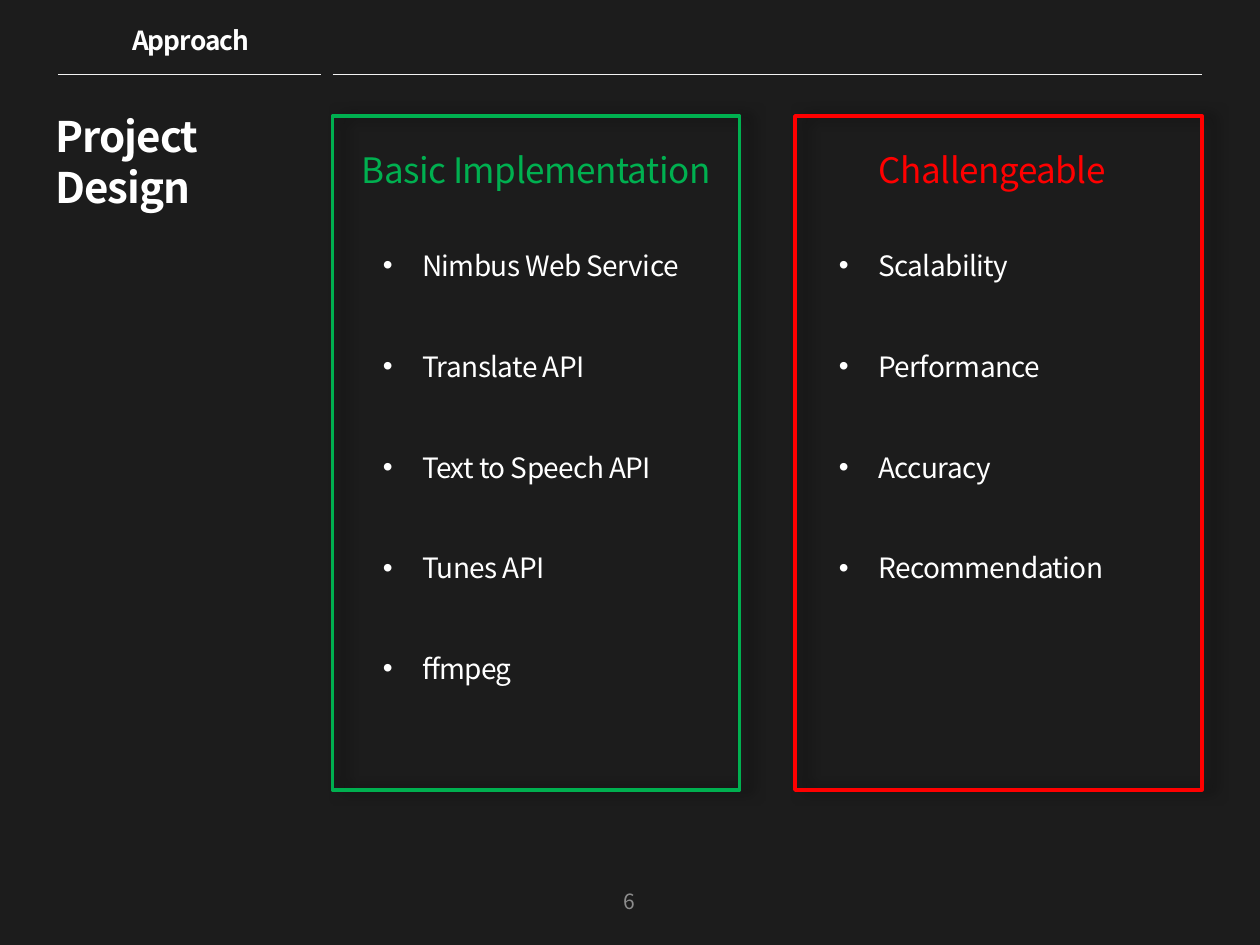
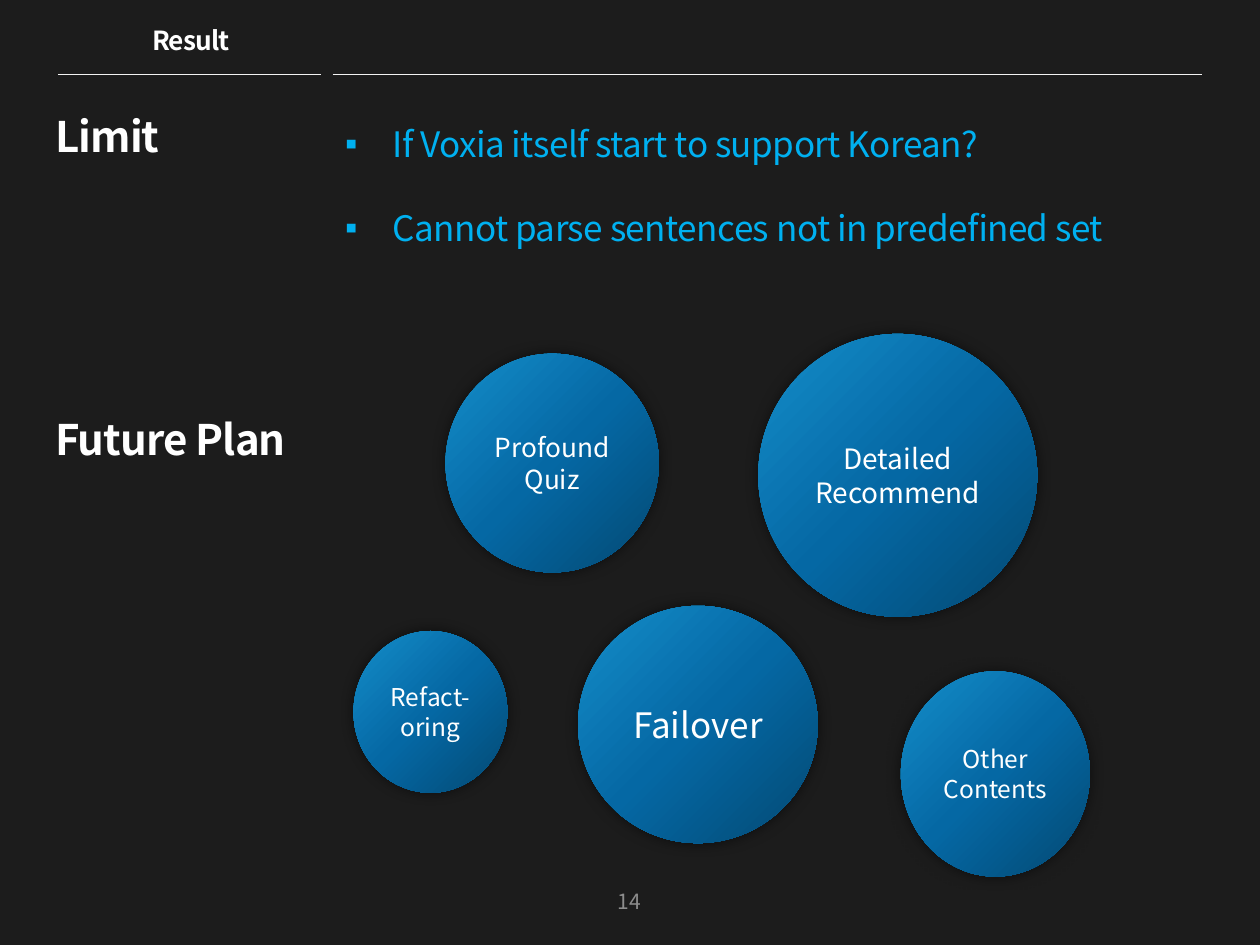
from lxml import etree
from pptx import Presentation
from pptx.dml.color import RGBColor
from pptx.enum import shapes, text
from pptx.oxml import parse_xml
from pptx.oxml.ns import nsdecls, qn
from pptx.util import Pt

FONT = "Noto Sans CJK KR"
HUES = {
    "back": "1C1C1C", "rule": "F2F2F2", "white": "FFFFFF", "page": "8C8C8C",
    "green": "00B050", "red": "FF0000", "sky": "00B0F0",
    "deep": "034973", "mid": "0568A4", "light": "148DCA",
}
LEFT, MAIN, RIGHT = 33.12, 190.08, 686.88   # side column, main column, right edge
TOP = 66.24                                 # top of the main column
TITLE = dict(size=24, bold=True, track=-50)
HEAD = dict(size=15, bold=True, track=-50, align="CENTER")


def rgb(hue):
    return RGBColor.from_string(HUES[hue])


def pts(*nums):
    return [Pt(n) for n in nums]


def write(frame, lines, size, hue="white", bold=False, track=0,
          align="LEFT", gap=0, lead=None, mark=None, hang=0):
    """Fill a frame, one paragraph a line, with gap points between them."""
    frame.word_wrap = True
    for i, line in enumerate(lines):
        para = frame.paragraphs[0] if i == 0 else frame.add_paragraph()
        look = {"alignment": getattr(text.PP_ALIGN, align), "line_spacing": lead,
                "space_after": Pt(gap if i < len(lines) - 1 else 0)}
        for name, value in look.items():
            setattr(para, name, value)
        if mark:
            props = para._p.get_or_add_pPr()
            props.set("marL", str(Pt(hang)))
            props.set("indent", str(-Pt(hang)))
            etree.SubElement(props, qn("a:buFont")).set("typeface", "Arial")
            etree.SubElement(props, qn("a:buChar")).set("char", mark)
        run = para.add_run()
        run.text = line
        for name, value in {"size": Pt(size), "bold": bold, "name": FONT}.items():
            setattr(run.font, name, value)
        run.font.color.rgb = rgb(hue)
        props = run._r.get_or_add_rPr()
        props.set("spc", str(track))
        etree.SubElement(props, qn("a:ea")).set("typeface", FONT)


def label(slide, box, lines, anchor="TOP", **look):
    frame = slide.shapes.add_textbox(*pts(*box)).text_frame
    frame.vertical_anchor = getattr(text.MSO_ANCHOR, anchor)
    write(frame, lines, **look)


def rule(slide, start, end, y):
    line = slide.shapes.add_connector(shapes.MSO_CONNECTOR.STRAIGHT, *pts(start, y, end, y))
    line.line.color.rgb = rgb("rule")
    line.line.width = Pt(0.25)
    etree.SubElement(line._element.spPr, qn("a:effectLst"))


def shade(shape, alpha, blur, dist, angle):
    """Give a shape a soft black shadow."""
    shape._element.spPr.append(parse_xml(
        f'<a:effectLst {nsdecls("a")}><a:outerShdw blurRad="{Pt(blur)}" dist="{Pt(dist)}" '
        f'dir="{angle * 60000}" algn="ctr" rotWithShape="0"><a:srgbClr val="000000">'
        f'<a:alpha val="{alpha * 1000}"/></a:srgbClr></a:outerShdw></a:effectLst>'))


def glow(shape):
    """Fill a shape with blues that spread from its lower right corner."""
    stops = "".join(
        f'<a:gs pos="{pos * 1000}"><a:srgbClr val="{HUES[hue]}"/></a:gs>'
        for pos, hue in ((0, "deep"), (50, "mid"), (100, "light")))
    shape.line.fill.background()
    shape._element.spPr.find(qn("a:ln")).addprevious(parse_xml(
        f'<a:gradFill {nsdecls("a")} rotWithShape="1"><a:gsLst>{stops}</a:gsLst>'
        '<a:path path="circle"><a:fillToRect l="100000" t="100000" r="0" b="0"/></a:path>'
        '</a:gradFill>'))


def base(deck, head, titles, page, gap=0):
    """Add a slide with the rules, header, side titles and page number."""
    slide = deck.slides.add_slide(deck.slide_layouts[6])
    slide.background.fill.solid()
    slide.background.fill.fore_color.rgb = rgb("back")
    rule(slide, LEFT, 183.6, 42.48)
    rule(slide, MAIN, RIGHT, 42.48)
    label(slide, (24.48, 59.76, 158.4, 362.88), titles, gap=gap, **TITLE)
    label(slide, (275.76, 500.4, 167.76, 28.8), [page], "MIDDLE",
          size=12, hue="page", align="CENTER")
    label(slide, (34.56, 10.08, 149.04, 30.24), [head], **HEAD)
    return slide


def panel(slide, box, inset, hue, head, items):
    """Draw a framed list with a heading."""
    x, y, wide, high = box
    frame = slide.shapes.add_shape(shapes.MSO_SHAPE.RECTANGLE, *pts(*box))
    frame.fill.background()
    frame.line.color.rgb = rgb(hue)
    frame.line.width = Pt(2)
    shade(frame, 55, 8, 6, 0)
    label(slide, (x + inset, y + 15.12, 221.04, 31.68), [head],
          size=20, hue=hue, track=-30, align="CENTER")
    label(slide, (x + inset + 15.84, y + 62.64, 198.72, high - 116), items,
          size=16, track=-30, lead=1.5, gap=28.8, mark="•", hang=22.5)


def bubble(slide, box, size, lines):
    ball = slide.shapes.add_shape(shapes.MSO_SHAPE.OVAL, *pts(*box))
    glow(ball)
    shade(ball, 52, 8, 0, 50)
    ball.text_frame.vertical_anchor = text.MSO_ANCHOR.MIDDLE
    write(ball.text_frame, lines, size, align="CENTER")


def design(deck):
    slide = base(deck, "Approach", ["Project", "Design"], "6")
    wide, high = 232.56, 385.2
    panel(slide, (MAIN, TOP, wide, high), 5.76, "green", "Basic Implementation",
          ["Nimbus Web Service", "Translate API", "Text to Speech API",
           "Tunes API", "ffmpeg"])
    panel(slide, (RIGHT - wide, TOP, wide, high), 2.16, "red", "Challengeable",
          ["Scalability", "Performance", "Accuracy", "Recommendation"])


def result(deck):
    slide = base(deck, "Result", ["Limit", "Future Plan"], "14", gap=144)
    label(slide, (MAIN, TOP, RIGHT - MAIN, 79.92),
          ["If Voxia itself start to support Korean?",
           "Cannot parse sentences not in predefined set"],
          size=20, hue="sky", track=-30, gap=24, mark="▪", hang=27)
    for box, size, lines in (
            ((254.6, 202.1, 121.9, 125), 15, ["Profound Quiz"]),
            ((330.3, 346.2, 137, 135.6), 20, ["Failover"]),
            ((202, 360.6, 87.9, 92.4), 14, ["Refact-oring"]),
            ((514.8, 383.6, 108, 117.3), 14, ["Other", "Contents"]),
            ((433.3, 190.8, 159.4, 161.6), 16, ["Detailed Recommend"])):
        bubble(slide, box, size, lines)


def main():
    deck = Presentation()
    deck.slide_width, deck.slide_height = pts(720, 540)
    design(deck)
    result(deck)
    deck.save("out.pptx")


if __name__ == "__main__":
    main()
